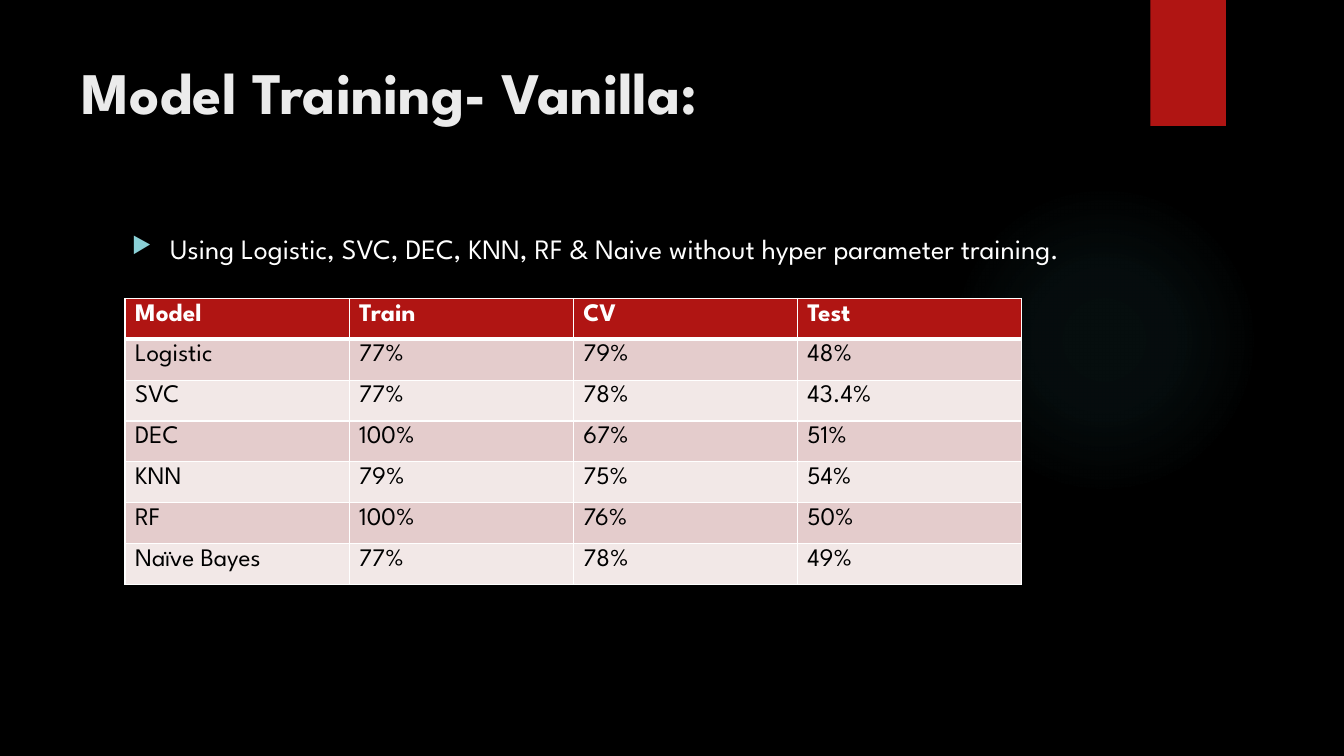
"""Build the vanilla model training slide with its score table."""
import pptx
import pptx.dml.color
import pptx.enum.shapes
import pptx.enum.text
import pptx.oxml
import pptx.oxml.ns
import pptx.util

Inches = pptx.util.Inches
SHAPES = pptx.enum.shapes.MSO_SHAPE
FONT = "League Spartan"
COLORS = {"background": "000000", "accent": "B01513", "title": "EBEBEB", "white": "FFFFFF",
          "black": "000000", "bullet": "8AD0D6", "glow": "50B9C1",
          "band_dark": "E4CCCC", "band_light": "F2E8E7"}
TITLE = "Model Training- Vanilla:"
SUMMARY = "Using Logistic, SVC, DEC, KNN, RF & Naive without hyper parameter training."
SCORES = [
    ("Model", "Train", "CV", "Test"),
    ("Logistic", "77%", "79%", "48%"),
    ("SVC", "77%", "78%", "43.4%"),
    ("DEC", "100%", "67%", "51%"),
    ("KNN", "79%", "75%", "54%"),
    ("RF", "100%", "76%", "50%"),
    ("Naïve Bayes", "77%", "78%", "49%"),
]
GLOW_STOPS = [(0, 7), (36, 6), (69, 0)]
NS = pptx.oxml.ns.nsdecls("a")


def rgb(name):
    return pptx.dml.color.RGBColor.from_string(COLORS[name])


def paint(fill, name):
    fill.solid()
    fill.fore_color.rgb = rgb(name)


def write(frame, text, size=18, color="white", bold=False):
    frame.word_wrap = True
    frame.vertical_anchor = pptx.enum.text.MSO_ANCHOR.TOP
    paragraph = frame.paragraphs[0]
    paragraph.alignment = pptx.enum.text.PP_ALIGN.LEFT
    run = paragraph.add_run()
    run.text = text
    run.font.name = FONT
    run.font.size = pptx.util.Pt(size)
    run.font.bold = bold
    run.font.color.rgb = rgb(color)
    return paragraph


def decorate(slide, preset, left, top, width, height):
    decoration = slide.shapes.add_shape(
        preset, Inches(left), Inches(top), Inches(width), Inches(height))
    decoration.shadow.inherit = False
    decoration.line.fill.background()
    return decoration


def add_glow(slide):
    glow = decorate(slide, SHAPES.OVAL, 9.41, 1.83, 3.08, 3.08)
    stops = "".join(
        f'<a:gs pos="{position * 1000}"><a:srgbClr val="{COLORS["glow"]}">'
        f'<a:alpha val="{opacity * 1000}"/></a:srgbClr></a:gs>'
        for position, opacity in GLOW_STOPS)
    gradient = pptx.oxml.parse_xml(
        f'<a:gradFill {NS}><a:gsLst>{stops}</a:gsLst><a:path path="circle">'
        '<a:fillToRect l="50000" t="50000" r="50000" b="50000"/></a:path></a:gradFill>')
    geometry = glow.element.spPr.find(pptx.oxml.ns.qn("a:prstGeom"))
    geometry.addnext(gradient)


def add_summary(slide):
    summary = slide.shapes.add_textbox(Inches(1.21), Inches(2.25), Inches(9.78), Inches(0.6))
    paragraph = write(summary.text_frame, SUMMARY, size=20)
    paragraph.space_before = pptx.util.Pt(10)
    properties = paragraph._p.get_or_add_pPr()
    properties.set("marL", str(Inches(0.38)))
    properties.set("indent", str(-Inches(0.38)))
    for bullet_part in (
            f'<a:buClr {NS}><a:srgbClr val="{COLORS["bullet"]}"/></a:buClr>',
            f'<a:buSzPct {NS} val="80000"/>',
            f'<a:buChar {NS} char="▶"/>'):
        properties.append(pptx.oxml.parse_xml(bullet_part))


def add_borders(cell, row):
    widths = {"L": 1, "R": 1, "T": 3 if row == 1 else 1, "B": 3 if row == 0 else 1}
    for place, (side, width) in enumerate(widths.items()):
        border = pptx.oxml.parse_xml(
            f'<a:ln{side} {NS} w="{pptx.util.Pt(width)}"><a:solidFill>'
            f'<a:srgbClr val="{COLORS["white"]}"/></a:solidFill></a:ln{side}>')
        cell._tc.get_or_add_tcPr().insert(place, border)


def add_scores(slide):
    scores = slide.shapes.add_table(
        len(SCORES), len(SCORES[0]), Inches(1.24), Inches(2.96), Inches(8.89), Inches(2.84)).table
    for row, values in enumerate(SCORES):
        header = row == 0
        band = "accent" if header else "band_dark" if row % 2 else "band_light"
        for column, value in enumerate(values):
            cell = scores.cell(row, column)
            write(cell.text_frame, value, color="white" if header else "black", bold=header)
            paint(cell.fill, band)
            add_borders(cell, row)


deck = pptx.Presentation()
deck.slide_width, deck.slide_height = Inches(13.33), Inches(7.5)
slide = deck.slides.add_slide(deck.slide_layouts[5])
paint(slide.background.fill, "background")

add_glow(slide)
ribbon = decorate(slide, SHAPES.RECTANGLE, 11.41, 0, 0.75, 1.25)
paint(ribbon.fill, "accent")

title = slide.shapes.title
title.left, title.top, title.width, title.height = map(Inches, (0.71, 0.5, 10.29, 1.53))
write(title.text_frame, TITLE, size=42, color="title", bold=True)

add_summary(slide)
add_scores(slide)
deck.save("out.pptx")
